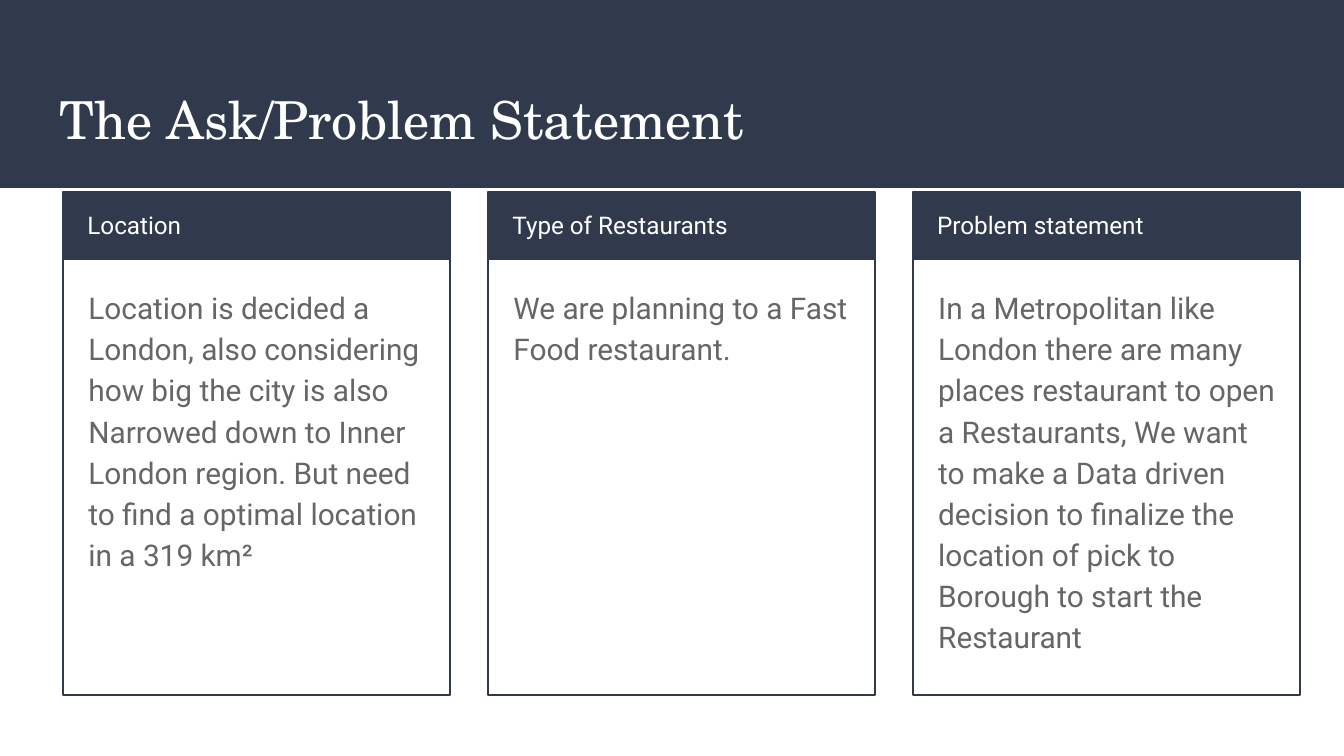
from lxml import etree
from pptx import Presentation
from pptx import util as u
from pptx.dml.color import RGBColor
from pptx.enum import shapes, text
from pptx.oxml import ns

PX = 914400 / 134.4
NAVY = RGBColor(0x31, 0x39, 0x4D)
GRAY = RGBColor(0x66, 0x66, 0x66)
WHITE = RGBColor(0xFF, 0xFF, 0xFF)

TITLE = {"name": "TeX Gyre Schola", "size": u.Pt(28), "color": WHITE, "line": 1.0, "after": 0}
HEADING = {"name": "Roboto", "size": u.Pt(13), "color": WHITE, "line": 1.15, "after": 0}
BODY = {"name": "Roboto", "size": u.Pt(16), "color": GRAY, "line": 1.15, "after": 16}

COLUMNS = [
    ("Location",
     "Location is decided a London, also considering how big the city is also "
     "Narrowed down to Inner London region. But need to find a optimal location in a 319 km²"),
    ("Type of Restaurants",
     "We are planning to a Fast Food restaurant."),
    ("Problem statement",
     "In a Metropolitan like London there are many places restaurant to open a Restaurants, "
     "We want to make a Data driven decision to finalize the location of pick to Borough "
     "to start the Restaurant"),
]
COLUMN_LEFT, COLUMN_TOP, COLUMN_WIDTH, COLUMN_PITCH = 63, 192, 387, 425
HEADER_HEIGHT, FRAME_HEIGHT = 68, 503


def add_box(parent, box, fill=None, line=None):
    shape = parent.add_shape(shapes.MSO_SHAPE.RECTANGLE, *(round(v * PX) for v in box))
    shape.shadow.inherit = False
    for part, color in ((shape.fill, fill), (shape.line.fill, line)):
        if color is None:
            part.background()
        else:
            part.solid()
            part.fore_color.rgb = color
    if line is not None:
        shape.line.width = u.Pt(0.75)


def put_text(shape, box, wording, style):
    """Place a text shape in front of all others and write one formatted paragraph."""
    slide.shapes.element.append(shape.element)
    for name, value in zip(("left", "top", "width", "height"), box):
        setattr(shape, name, round(value * PX))
    frame = shape.text_frame
    frame_format = {"word_wrap": True, "auto_size": text.MSO_AUTO_SIZE.NONE,
                    "vertical_anchor": text.MSO_ANCHOR.TOP}
    for side in ("left", "top", "right", "bottom"):
        frame_format["margin_" + side] = u.Inches(0.1)
    for name, value in frame_format.items():
        setattr(frame, name, value)
    frame.text = wording
    paragraph = frame.paragraphs[0]
    paragraph_format = {"alignment": text.PP_ALIGN.LEFT, "line_spacing": style["line"],
                        "space_before": u.Pt(0), "space_after": u.Pt(style["after"])}
    for name, value in paragraph_format.items():
        setattr(paragraph, name, value)
    properties = paragraph._p.get_or_add_pPr()
    properties.set("marL", "0")
    properties.set("indent", "0")
    etree.SubElement(properties, ns.qn("a:buNone"))
    font = paragraph.runs[0].font
    for name, value in {"name": style["name"], "size": style["size"], "bold": False}.items():
        setattr(font, name, value)
    font.color.rgb = style["color"]


presentation = Presentation()
presentation.slide_width = round(1344 * PX)
presentation.slide_height = round(756 * PX)
slide = presentation.slides.add_slide(presentation.slide_layouts.get_by_name("Comparison"))

# The layout holds two heading/body pairs; the third column uses text boxes.
text_shapes = [slide.placeholders[index] for index in (1, 2, 3, 4)]
text_shapes += [slide.shapes.add_textbox(0, 0, 0, 0) for _ in range(2)]

add_box(slide.shapes, (0, 0, 1344, 188), fill=NAVY)
put_text(slide.shapes.title, (46, 74, 1252, 91), "The Ask/Problem Statement", TITLE)

for column, (heading, body) in enumerate(COLUMNS):
    left = COLUMN_LEFT + column * COLUMN_PITCH
    card = slide.shapes.add_group_shape()
    add_box(card.shapes, (left, COLUMN_TOP, COLUMN_WIDTH, HEADER_HEIGHT), fill=NAVY)
    add_box(card.shapes, (left, COLUMN_TOP, COLUMN_WIDTH, FRAME_HEIGHT), line=NAVY)
    heading_shape, body_shape = text_shapes[2 * column:2 * column + 2]
    put_text(heading_shape, (left + 11, COLUMN_TOP, 367, 67), heading, HEADING)
    put_text(body_shape, (left + 12, 271, 364, 411), body, BODY)

presentation.save("out.pptx")
